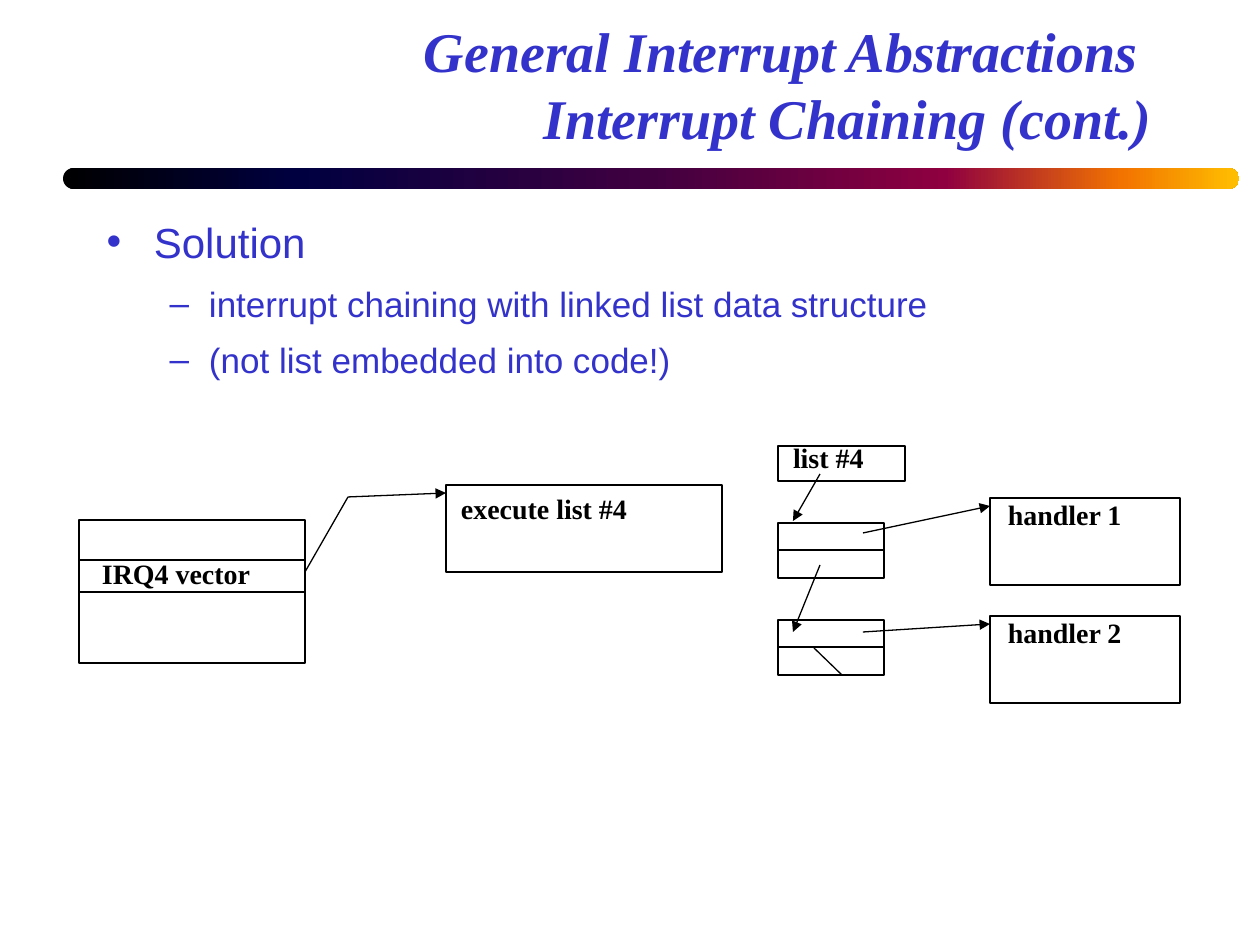
"""Build the interrupt chaining slide with its linked list diagram."""
from copy import deepcopy
from typing import NamedTuple

from lxml.etree import SubElement
from pptx import Presentation
from pptx.dml.color import RGBColor
from pptx.enum.shapes import MSO_CONNECTOR as Connector, MSO_SHAPE as Preset
from pptx.enum.text import MSO_ANCHOR as Anchor, MSO_AUTO_SIZE as AutoSize, PP_ALIGN as Align
from pptx.oxml.ns import qn
from pptx.util import Emu, Pt

EMU_PER_PIXEL = 914400 / 126
BLUE, BLACK = "3333CC", "000000"
SERIF, SANS = "Times New Roman", "Arial"


class Area(NamedTuple):
    left: int
    top: int
    width: int
    height: int


class Label(NamedTuple):
    text: str
    area: Area


class Link(NamedTuple):
    start: tuple[int, int]
    end: tuple[int, int]
    arrow: bool = False


class Stop(NamedTuple):
    position: float
    color: str


def px(length: float) -> Emu:
    return Emu(round(length * EMU_PER_PIXEL))


def color(code: str) -> RGBColor:
    return RGBColor.from_string(code)


def place(holder, area: Area) -> None:
    holder.left, holder.top, holder.width, holder.height = map(px, area)


def write(paragraph, text: str, *, size: int, font: str = SERIF, ink: str = BLACK,
          bold: bool = False, italic: bool = False, align=None,
          level: int = 0, after: float = 0) -> None:
    paragraph.text = text
    paragraph.level = level
    paragraph.alignment = align
    paragraph.space_after = Pt(after)
    for run in paragraph.runs:
        run.font.name, run.font.size = font, Pt(size)
        run.font.bold, run.font.italic = bold, italic
        run.font.color.rgb = color(ink)
    for line_break in paragraph._p.findall(qn("a:br")):
        line_break.insert(0, deepcopy(paragraph.runs[0]._r.rPr))


def draw_box(shapes, area: Area) -> None:
    box = shapes.add_shape(Preset.RECTANGLE, *map(px, area))
    box.shadow.inherit = False
    box.fill.background()
    box.line.color.rgb = color(BLACK)
    box.line.width = Pt(0.75)


def draw_label(shapes, label: Label) -> None:
    frame = shapes.add_textbox(*map(px, label.area)).text_frame
    frame.margin_left = frame.margin_top = frame.margin_right = frame.margin_bottom = 0
    frame.word_wrap = False
    frame.auto_size = AutoSize.SHAPE_TO_FIT_TEXT
    write(frame.paragraphs[0], label.text, size=16, bold=True)


def draw_link(shapes, link: Link) -> None:
    connector = shapes.add_connector(Connector.STRAIGHT, *map(px, link.start + link.end))
    connector.line.color.rgb = color(BLACK)
    connector.line.width = Pt(0.75)
    if link.arrow:
        SubElement(connector.line._get_or_add_ln(), qn("a:tailEnd"), type="triangle")
    SubElement(connector._element.spPr, qn("a:effectLst"))


def draw_bar(shapes, area: Area, stops: list[Stop]) -> None:
    bar = shapes.add_shape(Preset.ROUNDED_RECTANGLE, *map(px, area))
    bar.adjustments[0] = 0.5
    bar.shadow.inherit = False
    bar.line.fill.background()
    bar.fill.gradient()
    bar.fill.gradient_angle = 0
    stop_list = next(bar._element.spPr.iter(qn("a:gsLst")))
    while len(stop_list) < len(stops):
        stop_list.append(deepcopy(stop_list[0]))
    for drawn, stop in zip(bar.fill.gradient_stops, stops):
        drawn.position = stop.position
        drawn.color.rgb = color(stop.color)


RAINBOW = [Stop(0, "000000"), Stop(0.2, "000040"), Stop(0.5, "400040"),
           Stop(0.75, "8F0040"), Stop(0.9, "F27300"), Stop(1, "FFBF00")]
BULLETS = [("Solution", 0, 24),
           ("interrupt chaining with linked list data structure", 1, 20),
           ("(not list embedded into code!)", 1, 20)]

VECTORS = Area(79, 520, 226, 143)
ROUTINE = Area(446, 485, 276, 87)
LIST_HEAD = Area(778, 446, 127, 35)
NODES = [Area(778, top, 106, 55) for top in (523, 620)]
HANDLERS = [Area(990, top, 190, 87) for top in (498, 616)]

LABELS = [Label("IRQ4 vector", Area(102, 557, 150, 34)),
          Label("execute list #4", Area(461, 492, 169, 34)),
          Label("list #4", Area(793, 441, 72, 34))]
LABELS += [Label(f"handler {number}", Area(1008, handler.top, 115, 34))
           for number, handler in enumerate(HANDLERS, 1)]

vectors_right = VECTORS.left + VECTORS.width
LINKS = [Link((VECTORS.left, y), (vectors_right, y)) for y in (560, 592)]
LINKS += [Link((vectors_right, 572), (348, 497)),
          Link((348, 497), (ROUTINE.left, 493), True),
          Link((820, 474), (793, 521), True),
          Link((820, 565), (793, 632), True),
          Link((814, 648), (842, 675))]
for node, handler, pointer_y in zip(NODES, HANDLERS, (533, 632)):
    middle = node.top + node.height // 2
    LINKS += [Link((node.left, middle), (node.left + node.width, middle)),
              Link((863, pointer_y), (handler.left, handler.top + 8), True)]

deck = Presentation()
deck.slide_width, deck.slide_height = px(1260), px(945)
slide = deck.slides.add_slide(deck.slide_layouts[1])
title, body = slide.placeholders

place(title, Area(94, 31, 1071, 126))
title.text_frame.vertical_anchor = Anchor.BOTTOM
title.text_frame.auto_size = AutoSize.NONE
write(title.text_frame.paragraphs[0],
      "General Interrupt Abstractions \vInterrupt Chaining (cont.)",
      size=32, ink=BLUE, bold=True, italic=True, align=Align.RIGHT)

place(body, Area(94, 210, 1071, 630))
body.text_frame.auto_size = AutoSize.NONE
for index, (text, level, size) in enumerate(BULLETS):
    point = body.text_frame.add_paragraph() if index else body.text_frame.paragraphs[0]
    write(point, text, size=size, font=SANS, ink=BLUE, level=level, after=size * 0.2)

draw_bar(slide.shapes, Area(63, 168, 1176, 21), RAINBOW)
for area in (VECTORS, ROUTINE, LIST_HEAD, *NODES, *HANDLERS):
    draw_box(slide.shapes, area)
for label in LABELS:
    draw_label(slide.shapes, label)
for link in LINKS:
    draw_link(slide.shapes, link)

deck.save("out.pptx")
